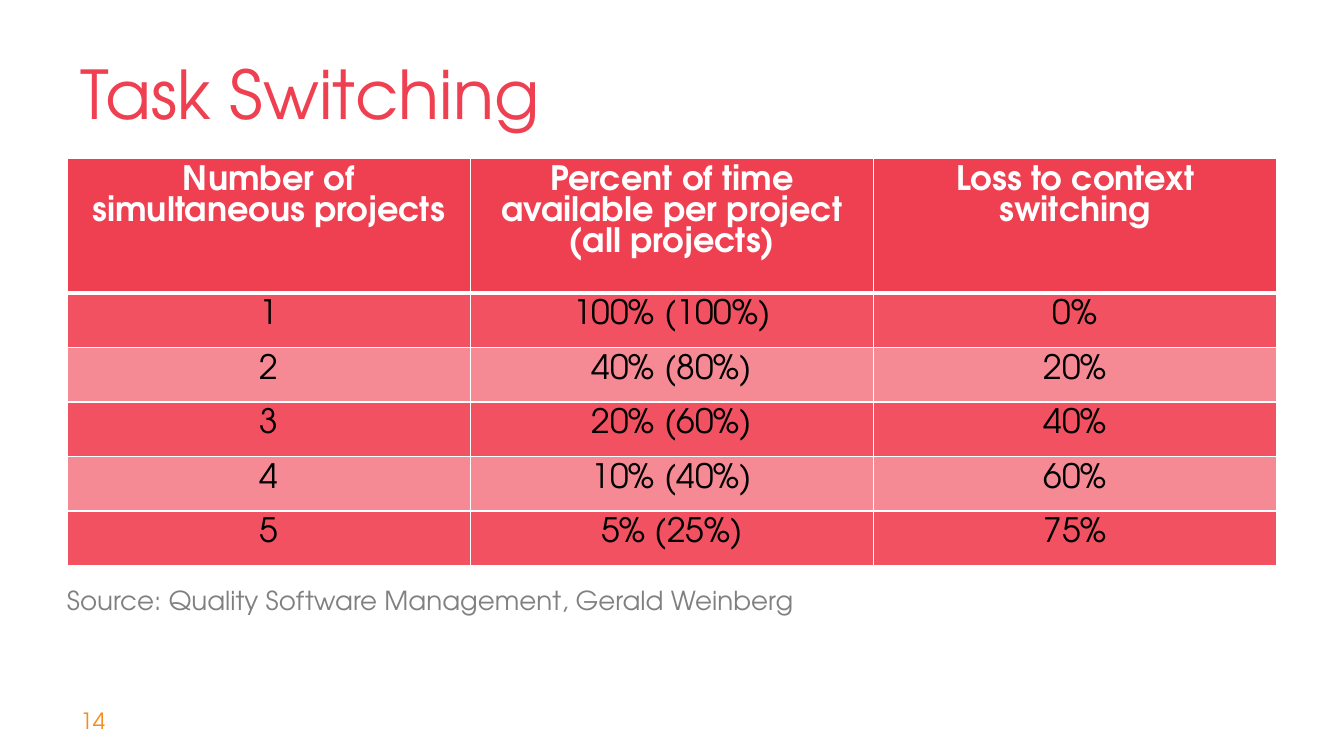
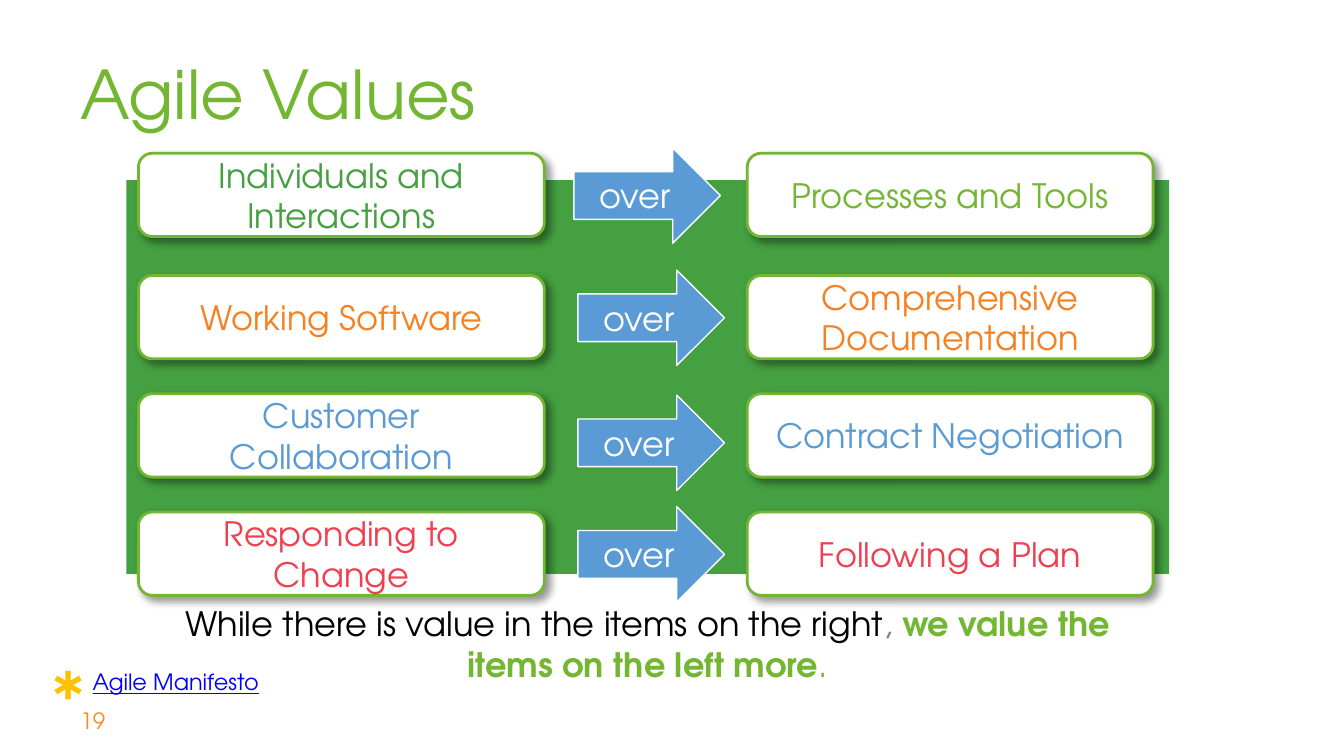
from typing import NamedTuple

from lxml import etree
from pptx import Presentation
from pptx import util as u
from pptx.dml.color import RGBColor
from pptx.enum import shapes, text
from pptx.oxml import ns

FONT = "TeX Gyre Adventor"
WHITE, BLACK, GRAY = "FFFFFF", "000000", "808080"
RED, GREEN, LIME, BLUE = "EF4051", "45A041", "73B632", "5B9BD5"
ORANGE, AMBER, GOLD, LINK = "F68121", "F68C1E", "FFC000", "0000FF"
BAND_FILLS = ("F15160", "F68A94")

CENTER = text.PP_ALIGN.CENTER
TOP, MIDDLE, BOTTOM = (text.MSO_ANCHOR.TOP, text.MSO_ANCHOR.MIDDLE,
                       text.MSO_ANCHOR.BOTTOM)

SWITCHING_COSTS = (
    ("Number of simultaneous projects",
     "Percent of time available per project (all projects)",
     "Loss to context switching"),
    ("1", "100% (100%)", "0%"),
    ("2", "40% (80%)", "20%"),
    ("3", "20% (60%)", "40%"),
    ("4", "10% (40%)", "60%"),
    ("5", "5% (25%)", "75%"),
)


class Area(NamedTuple):
    left: float
    top: float
    width: float
    height: float

    def lengths(self) -> list:
        return [u.Inches(side) for side in self]


class Span(NamedTuple):
    words: str
    color: str
    bold: bool = False


class Value(NamedTuple):
    preferred: str
    other: str
    preferred_color: str
    other_color: str
    box_top: float
    arrow_left: float
    arrow_top: float


VALUES = (
    Value("Individuals and Interactions", "Processes and Tools",
          GREEN, LIME, 1.14, 4.27, 1.1),
    Value("Working Software", "Comprehensive Documentation",
          ORANGE, ORANGE, 2.05, 4.3, 2.01),
    Value("Customer Collaboration", "Contract Negotiation",
          BLUE, BLUE, 2.93, 4.3, 2.94),
    Value("Responding to Change", "Following a Plan",
          RED, RED, 3.81, 4.3, 3.77),
)


def rgb(color: str) -> RGBColor:
    return RGBColor.from_string(color)


def add_element(parent, tag: str, **attributes):
    return etree.SubElement(parent, ns.qn(tag),
                            {name: str(value) for name, value in attributes.items()})


def write(frame, *spans: Span, size: float = 18, align=None, underline=None) -> None:
    para = frame.paragraphs[0]
    para.alignment = align
    for span in spans:
        run = para.add_run()
        run.text = span.words
        run.font.name = FONT
        run.font.size = u.Pt(size)
        run.font.bold = span.bold
        run.font.underline = underline
        run.font.color.rgb = rgb(span.color)


def add_text(page, area: Area, *spans: Span, anchor=TOP, wrap: bool = True,
             **style) -> None:
    frame = page.shapes.add_textbox(*area.lengths()).text_frame
    frame.word_wrap = wrap
    frame.vertical_anchor = anchor
    write(frame, *spans, **style)


def add_block(page, kind, area: Area, fill: str, label: Span | None = None,
              line: str | None = None, line_width: float = 1):
    block = page.shapes.add_shape(kind, *area.lengths())
    block.shadow.inherit = False
    block.fill.solid()
    block.fill.fore_color.rgb = rgb(fill)
    if line:
        block.line.color.rgb = rgb(line)
        block.line.width = u.Pt(line_width)
    else:
        block.line.fill.background()
    if label:
        block.text_frame.vertical_anchor = MIDDLE
        write(block.text_frame, label, align=CENTER)
    return block


def add_shadow(block) -> None:
    """Give a block a soft shadow towards the lower right."""
    effects = block._element.spPr.find(ns.qn("a:effectLst"))
    shadow = add_element(effects, "a:outerShdw", blurRad=u.Pt(4), dist=u.Pt(3),
                         dir=45 * 60000, algn="tl", rotWithShape=0)
    tint = add_element(shadow, "a:srgbClr", val=BLACK)
    add_element(tint, "a:alpha", val=40000)


def add_borders(cell, top: float, bottom: float) -> None:
    """Draw white borders; must run before the cell's fill is set."""
    properties = cell._tc.get_or_add_tcPr()
    for side, width in zip("LRTB", (1, 1, top, bottom)):
        border = add_element(properties, f"a:ln{side}", w=u.Pt(width))
        add_element(add_element(border, "a:solidFill"), "a:srgbClr", val=WHITE)


def add_page(deck, title: str, color: str, number: int):
    page = deck.slides.add_slide(deck.slide_layouts[6])
    add_text(page, Area(0.5, 0.23, 9, 0.81), Span(title, color),
             size=36, anchor=BOTTOM)
    add_text(page, Area(0.5, 5.21, 1.07, 0.3), Span(str(number), AMBER),
             size=12, anchor=MIDDLE)
    return page


def add_switching_table(page) -> None:
    area = Area(0.5, 1.18, 9, 3.03)
    header_height = 1
    body_height = (area.height - header_height) / (len(SWITCHING_COSTS) - 1)
    table = page.shapes.add_table(len(SWITCHING_COSTS), 3, *area.lengths()).table
    for row, entries in enumerate(SWITCHING_COSTS):
        header = row == 0
        table.rows[row].height = u.Inches(header_height if header else body_height)
        for column, words in enumerate(entries):
            cell = table.cell(row, column)
            add_borders(cell, top=3 if row == 1 else 1, bottom=3 if header else 1)
            cell.fill.solid()
            cell.fill.fore_color.rgb = rgb(RED if header else BAND_FILLS[(row - 1) % 2])
            write(cell.text_frame, Span(words, WHITE if header else BLACK, header),
                  align=CENTER)


def build_task_switching(deck) -> None:
    page = add_page(deck, "Task Switching", RED, 14)
    add_switching_table(page)
    add_text(page, Area(0.4, 4.3, 5.78, 0.34),
             Span("Source: Quality Software Management, Gerald Weinberg", GRAY),
             size=14, wrap=False)


def build_agile_values(deck) -> None:
    page = add_page(deck, "Agile Values", LIME, 19)
    add_block(page, shapes.MSO_SHAPE.RECTANGLE, Area(0.94, 1.34, 7.76, 2.93), GREEN)
    for value in VALUES:
        sides = ((1.03, Span(value.preferred, value.preferred_color)),
                 (5.56, Span(value.other, value.other_color)))
        for left, label in sides:
            add_shadow(add_block(page, shapes.MSO_SHAPE.ROUNDED_RECTANGLE,
                                 Area(left, value.box_top, 3.02, 0.62), WHITE,
                                 label, line=LIME, line_width=1.5))
        add_block(page, shapes.MSO_SHAPE.RIGHT_ARROW,
                  Area(value.arrow_left, value.arrow_top, 1.09, 0.71), BLUE,
                  Span("over", WHITE), line=WHITE, line_width=0.75)
    add_text(page, Area(0.94, 4.44, 7.76, 0.71),
             Span("While there is value in the items on the right", BLACK),
             Span(", ", GRAY),
             Span("we value the items on the left more", LIME, True),
             Span(".", LIME), align=CENTER)
    add_text(page, Area(0.59, 4.92, 1.95, 0.3), Span("Agile Manifesto", LINK),
             size=12, underline=True)
    add_text(page, Area(0.29, 4.8, 0.42, 0.77), Span("*", GOLD), size=40)


def main() -> None:
    deck = Presentation()
    deck.slide_width = u.Inches(10)
    deck.slide_height = deck.slide_width * 9 // 16
    build_task_switching(deck)
    build_agile_values(deck)
    deck.save("out.pptx")


if __name__ == "__main__":
    main()
